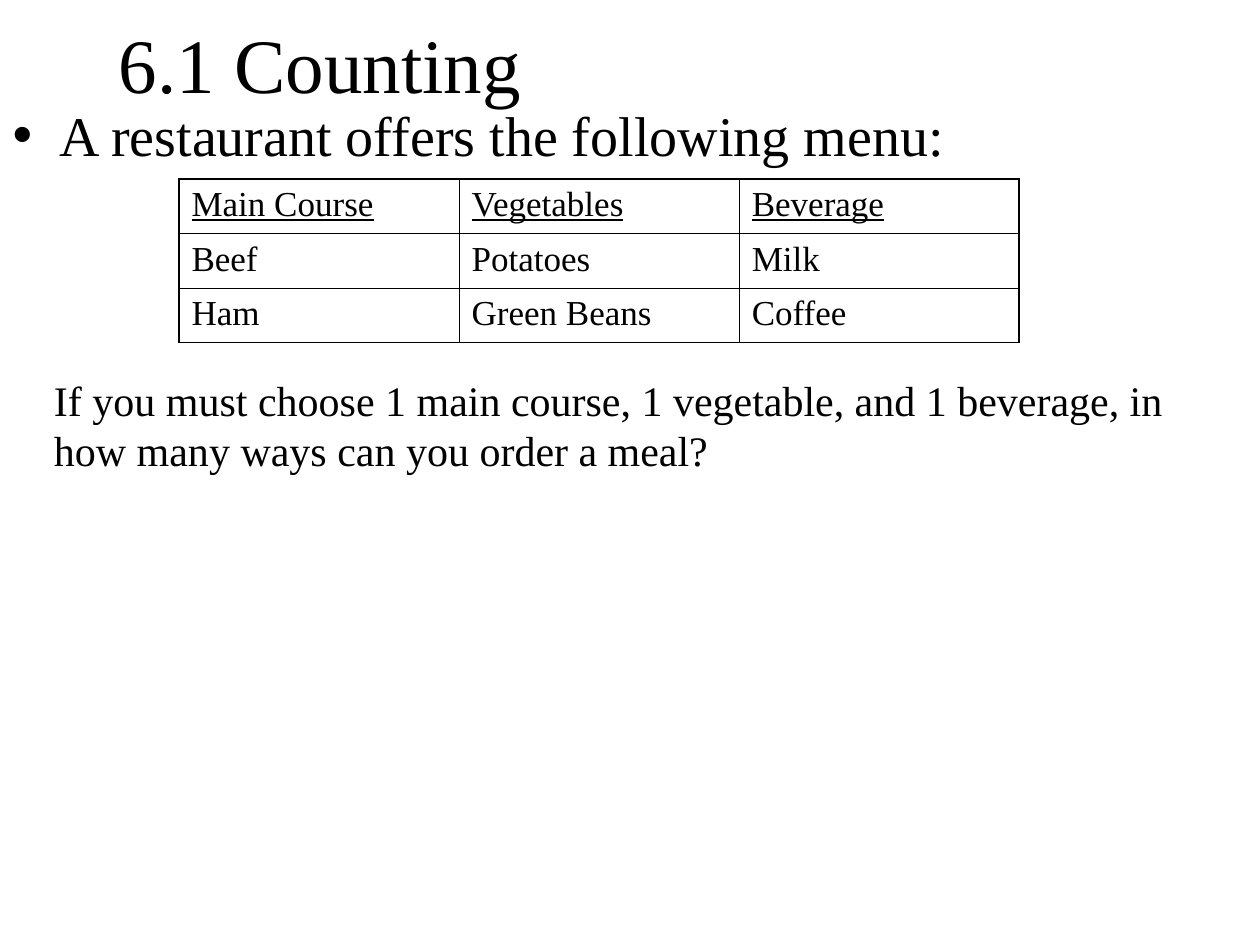
from dataclasses import dataclass

from lxml.etree import SubElement
from pptx import Presentation
from pptx.dml.color import RGBColor
from pptx.enum.text import MSO_ANCHOR, MSO_AUTO_SIZE, PP_ALIGN
from pptx.oxml.ns import qn
from pptx.util import Inches, Pt


@dataclass(frozen=True)
class Theme:
    font: str = "Times New Roman"
    ink: str = "000000"
    title: float = 44
    bullet: float = 32
    question: float = 24
    cell: float = 20
    outer_line: float = 1.08
    inner_line: float = 0.45


THEME = Theme()
MENU = [
    ("Main Course", "Vegetables", "Beverage"),
    ("Beef", "Potatoes", "Milk"),
    ("Ham", "Green Beans", "Coffee"),
]


def place(shape, box):
    shape.left, shape.top, shape.width, shape.height = (Inches(length) for length in box)


def write(frame, text, size, space_before=0):
    """Fill the frame with one paragraph in the theme's font and return it."""
    frame.text = text
    para = frame.paragraphs[0]
    para.space_before = Pt(space_before)
    para.font.name = THEME.font
    para.font.size = Pt(size)
    para.font.color.rgb = RGBColor.from_string(THEME.ink)
    return para


def add_title(page, box):
    title = page.shapes.title
    place(title, box)
    title.text_frame.auto_size = MSO_AUTO_SIZE.NONE
    title.text_frame.vertical_anchor = MSO_ANCHOR.MIDDLE
    para = write(title.text_frame, "6.1 Counting", THEME.title)
    para.alignment = PP_ALIGN.CENTER


def add_bullet(page, box):
    body = page.placeholders[1]
    place(body, box)
    body.text_frame.auto_size = MSO_AUTO_SIZE.NONE
    write(body.text_frame, "A restaurant offers the following menu:", THEME.bullet, 8)


def draw_borders(cell, outer_sides):
    """Line all four sides of a cell, heavier on the table's outer edge."""
    properties = cell._tc.get_or_add_tcPr()
    for index, side in enumerate("LRTB"):
        width = THEME.outer_line if side in outer_sides else THEME.inner_line
        line = SubElement(properties, qn(f"a:ln{side}"), w=str(Pt(width)))
        fill = SubElement(line, qn("a:solidFill"))
        SubElement(fill, qn("a:srgbClr"), val=THEME.ink)
        properties.insert(index, line)


def add_menu(page, box):
    row_count, column_count = len(MENU), len(MENU[0])
    frame = page.shapes.add_table(row_count, column_count, *(Inches(length) for length in box))
    table = frame.table
    table.first_row = table.horz_banding = False
    for row, names in enumerate(MENU):
        for column, name in enumerate(names):
            cell = table.cell(row, column)
            cell.fill.background()
            para = write(cell.text_frame, name, THEME.cell, 5)
            para.font.underline = row == 0
            edges = {"L": column == 0, "R": column == column_count - 1,
                     "T": row == 0, "B": row == row_count - 1}
            draw_borders(cell, [side for side, outer in edges.items() if outer])


def add_question(page, box):
    question = page.shapes.add_textbox(*(Inches(length) for length in box))
    question.text_frame.word_wrap = True
    write(question.text_frame,
          "If you must choose 1 main course, 1 vegetable, and 1 beverage, "
          "in how many ways can you order a meal?", THEME.question)


def main():
    deck = Presentation()
    deck.slide_width, deck.slide_height = Inches(10), Inches(7.5)
    page = deck.slides.add_slide(deck.slide_layouts[1])
    add_title(page, (0, 0, 5.08, 1))
    add_bullet(page, (0, 0.75, 8.75, 0.75))
    add_menu(page, (1.42, 1.42, 6.67, 1.3))
    add_question(page, (0.33, 2.92, 9.27, 0.9))
    deck.save("out.pptx")


if __name__ == "__main__":
    main()
